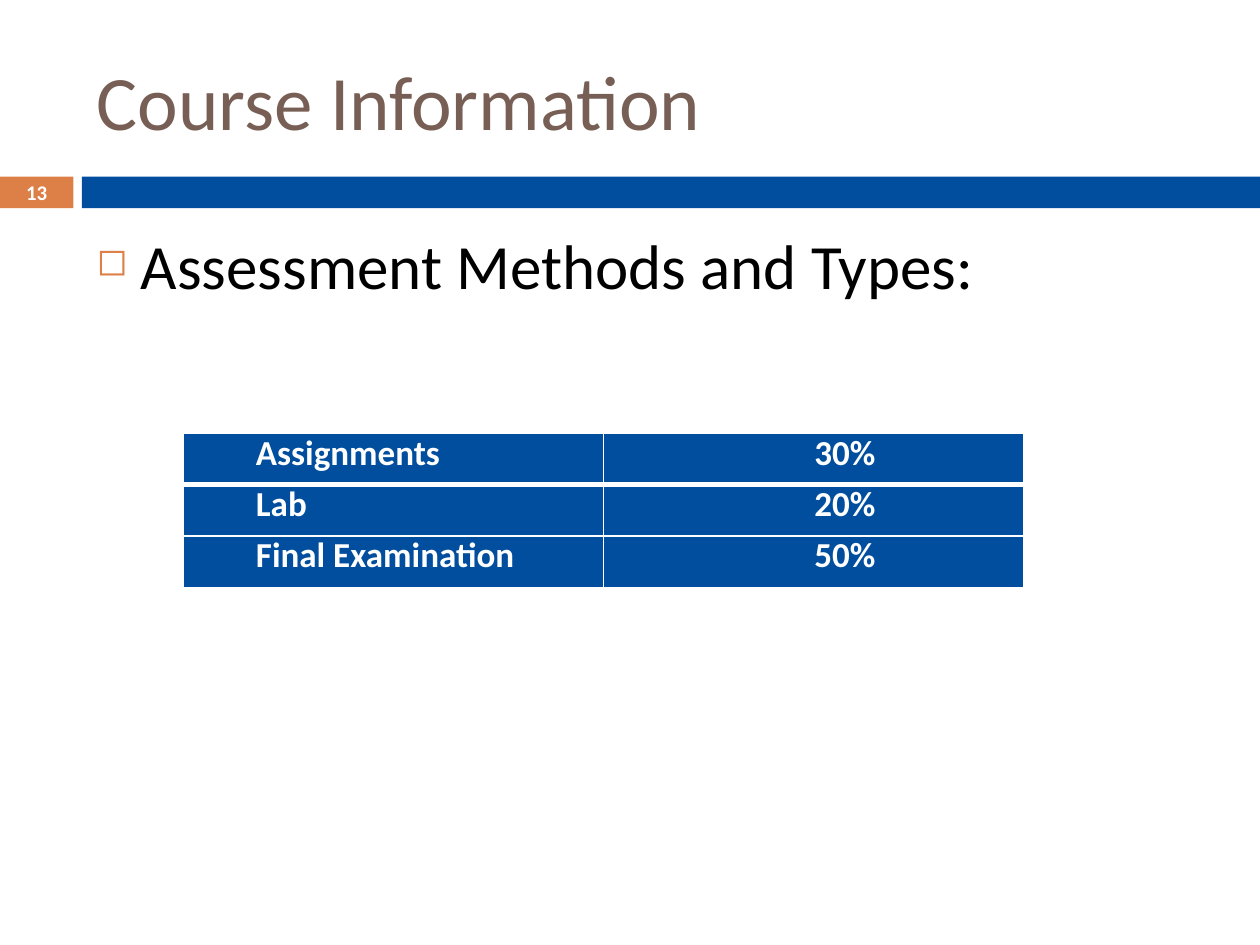
from lxml import etree
from pptx import Presentation
from pptx.dml.color import RGBColor
from pptx.enum import shapes, text
from pptx.oxml import ns
from pptx.util import Cm, Pt

BLUE = RGBColor(0x00, 0x4E, 0x9D)
ORANGE = RGBColor(0xDD, 0x80, 0x47)
BROWN = RGBColor(0x77, 0x5F, 0x55)
WHITE = RGBColor(0xFF, 0xFF, 0xFF)
BLACK = RGBColor(0x00, 0x00, 0x00)

ASSESSMENTS = [("Assignments", "30%"), ("Lab", "20%"), ("Final Examination", "50%")]


def add_element(parent, tag, **values):
    return etree.SubElement(parent, ns.qn(tag), values)


def apply_format(target, values):
    for name, value in values.items():
        setattr(target, name, value)


def write(para, words, size, color, bold=False):
    span = para.add_run()
    span.text = words
    apply_format(span.font, {"name": "Calibri", "size": Pt(size), "bold": bold})
    span.font.color.rgb = color


def add_text(page, box, anchor):
    frame = page.shapes.add_textbox(*box).text_frame
    apply_format(frame, {"word_wrap": True, "vertical_anchor": anchor})
    return frame.paragraphs[0]


def add_bar(page, box, color):
    bar = page.shapes.add_shape(shapes.MSO_SHAPE.RECTANGLE, *box)
    bar.shadow.inherit = False
    bar.fill.solid()
    bar.fill.fore_color.rgb = color
    bar.line.fill.background()


def add_band(page, left, top, width, height):
    number_width, gap = Cm(1.48), Cm(0.17)
    number_box = (left, top, number_width, height)
    rest = left + number_width + gap
    add_bar(page, number_box, ORANGE)
    add_bar(page, (rest, top, left + width - rest, height), BLUE)
    para = add_text(page, number_box, text.MSO_ANCHOR.MIDDLE)
    para.alignment = text.PP_ALIGN.CENTER
    write(para, "13", 11.9, WHITE, True)


def add_title(page, *box):
    para = add_text(page, box, text.MSO_ANCHOR.MIDDLE)
    write(para, "Course Information", 44, BROWN)


def add_body(page, *box):
    para = add_text(page, box, text.MSO_ANCHOR.TOP)
    properties = para._p.get_or_add_pPr()
    properties.set("marL", str(Cm(0.89)))
    properties.set("indent", str(-Cm(0.89)))
    bullet_color = add_element(properties, "a:buClr")
    add_element(bullet_color, "a:srgbClr", val=str(ORANGE))
    add_element(properties, "a:buSzPct", val="60000")
    add_element(properties, "a:buChar", char="◻")
    write(para, "Assessment Methods and Types:", 36, BLACK)


def add_border(cell, side, width):
    line = add_element(cell._tc.get_or_add_tcPr(), f"a:ln{side}", w=str(Pt(width)))
    fill = add_element(line, "a:solidFill")
    add_element(fill, "a:srgbClr", val=str(WHITE))


def fill_cell(cell, words, column, top_line, bottom_line):
    for side, width in {"L": 1, "R": 1, "T": top_line, "B": bottom_line}.items():
        add_border(cell, side, width)
    cell.fill.solid()
    cell.fill.fore_color.rgb = BLUE
    apply_format(cell, {
        "margin_left": Cm(0.19), "margin_right": Cm(0.19),
        "margin_top": 0, "margin_bottom": 0,
        "vertical_anchor": text.MSO_ANCHOR.MIDDLE,
    })
    para = cell.text_frame.paragraphs[0]
    para._p.get_or_add_pPr().set("marL", str(Cm(1.27)))
    para._p.get_or_add_pPr().set("indent", "0")
    para.line_spacing = Pt(18)
    if column == 0:
        para.level = 1
    else:
        para.alignment = text.PP_ALIGN.CENTER
    write(para, words, 20, WHITE, True)


def add_assessments(page, *box):
    table = page.shapes.add_table(len(ASSESSMENTS), 2, *box).table
    for row, entry in enumerate(ASSESSMENTS):
        top_line = 3 if row == 1 else 1
        bottom_line = 3 if row == 0 else 1
        for column, words in enumerate(entry):
            fill_cell(table.cell(row, column), words, column, top_line, bottom_line)


def main():
    deck = Presentation()
    deck.slide_width, deck.slide_height = Cm(25.4), Cm(19.05)
    page = deck.slides.add_slide(deck.slide_layouts[6])
    add_band(page, 0, Cm(3.56), deck.slide_width, Cm(0.64))
    add_title(page, Cm(1.7), Cm(0.64), Cm(22.66), Cm(2.74))
    add_body(page, Cm(1.7), Cm(4.45), Cm(22.66), Cm(12.5))
    add_assessments(page, Cm(3.7), Cm(8.74), Cm(16.93), Cm(3.1))
    deck.save("out.pptx")


if __name__ == "__main__":
    main()
